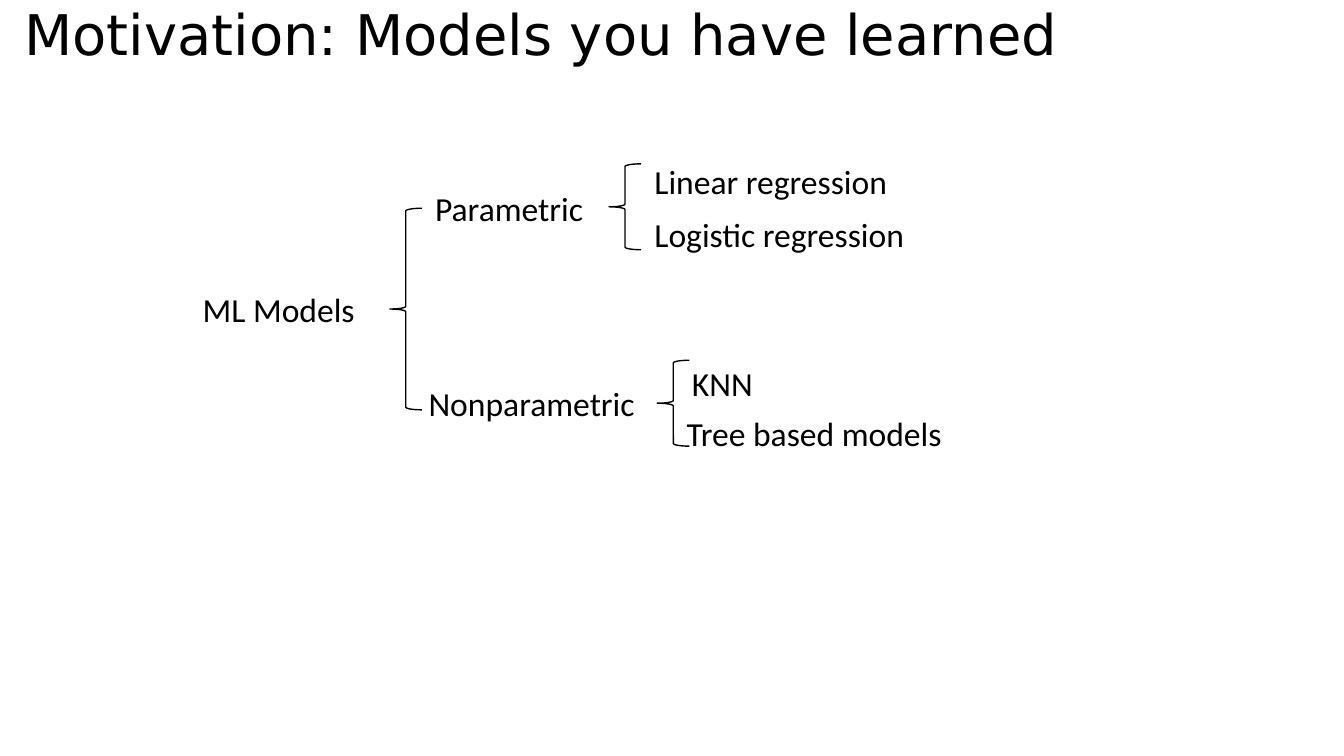
"""Build a slide that sorts machine learning models into a bracketed tree."""
from dataclasses import dataclass

from pptx import Presentation
from pptx import util as u
from pptx.dml import color
from pptx.enum import shapes, text


@dataclass(frozen=True)
class Theme:
    """Colours, fonts and sizes of the slide."""
    ink: color.RGBColor = color.RGBColor(0, 0, 0)
    paper: color.RGBColor = color.RGBColor(255, 255, 255)
    title_font: str = "DejaVu Sans"
    body_font: str = "Calibri"
    title_size: float = 30
    body_size: float = 18
    line_width: float = 0.75


THEME = Theme()
LABEL_HEIGHT = 28.8
BRACE_WIDTH = 17.2

LABELS = [
    ("ML Models", 101.5, 151.2, 117.4),
    ("Parametric", 226, 97.2, 117.4),
    ("Nonparametric", 222.5, 201.6, 134),
    ("Linear regression", 343.5, 82.8, 207.4),
    ("Logistic regression", 343.5, 110.9, 207.4),
    ("KNN", 363.6, 190.8, 207.4),
    ("Tree based models", 360.7, 217.7, 207.4),
]
BRACES = [(208.8, 111.6, 108), (326.2, 87.8, 46), (352.1, 193, 46)]


def set_values(target, values):
    """Set each attribute named in values on the target."""
    for name, value in values.items():
        setattr(target, name, value)


def write_text(box, words, font, size):
    """Write one left-aligned line of text into a box."""
    para = box.text_frame.paragraphs[0]
    para.alignment = text.PP_ALIGN.LEFT
    span = para.add_run()
    span.text = words
    set_values(span.font, {"name": font, "size": u.Pt(size), "bold": False})
    span.font.color.rgb = THEME.ink


def add_title(page, words):
    """Place and format the title placeholder."""
    title = page.shapes.title
    set_values(title, {"left": u.Pt(13), "top": u.Pt(0),
                       "width": u.Pt(617), "height": u.Pt(36)})
    set_values(title.text_frame, {
        "margin_left": 0, "margin_right": 0, "margin_top": 0,
        "margin_bottom": 0, "word_wrap": True,
        "vertical_anchor": text.MSO_ANCHOR.TOP,
        "auto_size": text.MSO_AUTO_SIZE.SHAPE_TO_FIT_TEXT})
    write_text(title, words, THEME.title_font, THEME.title_size)


def add_label(page, words, left, top, width):
    """Add the name of a model or a family of models."""
    box = page.shapes.add_textbox(
        u.Pt(left), u.Pt(top), u.Pt(width), u.Pt(LABEL_HEIGHT))
    set_values(box.text_frame, {
        "word_wrap": True,
        "auto_size": text.MSO_AUTO_SIZE.SHAPE_TO_FIT_TEXT})
    write_text(box, words, THEME.body_font, THEME.body_size)


def add_brace(page, left, top, height):
    """Add a left brace that opens a branch of the tree."""
    brace = page.shapes.add_shape(
        shapes.MSO_SHAPE.LEFT_BRACE,
        u.Pt(left), u.Pt(top), u.Pt(BRACE_WIDTH), u.Pt(height))
    brace.shadow.inherit = False
    brace.fill.background()
    brace.line.color.rgb = THEME.ink
    brace.line.width = u.Pt(THEME.line_width)


def main():
    """Build and save the deck."""
    deck = Presentation()
    set_values(deck, {"slide_width": u.Pt(720), "slide_height": u.Pt(405)})
    page = deck.slides.add_slide(deck.slide_layouts.get_by_name("Title Only"))
    page.background.fill.solid()
    page.background.fill.fore_color.rgb = THEME.paper
    add_title(page, "Motivation: Models you have learned")
    for brace in BRACES:
        add_brace(page, *brace)
    for label in LABELS:
        add_label(page, *label)
    deck.save("out.pptx")


if __name__ == "__main__":
    main()
